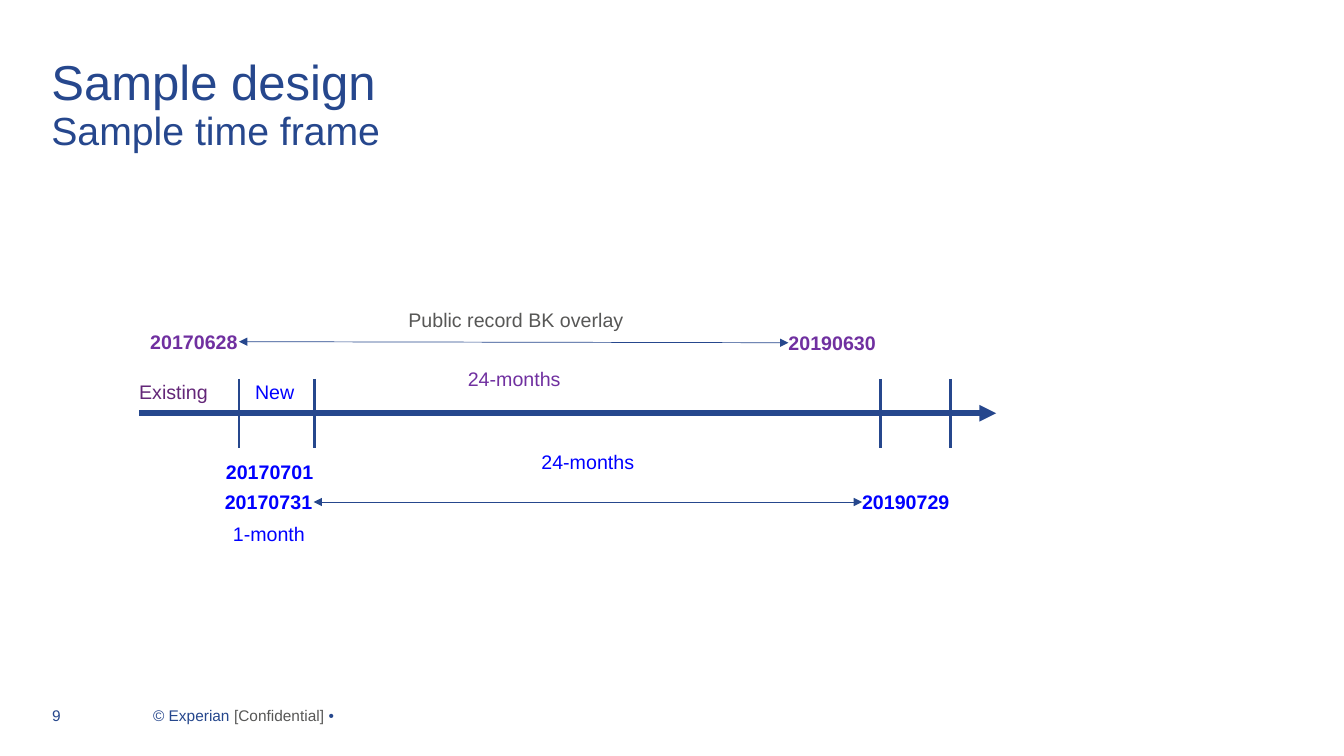
from typing import NamedTuple

from lxml import etree
from pptx import Presentation
from pptx.dml.color import RGBColor
from pptx.enum.shapes import MSO_CONNECTOR
from pptx.enum.text import MSO_AUTO_SIZE
from pptx.oxml.ns import qn
from pptx.util import Inches, Pt

FONT = "Arial"
NAVY, GREY, PLUM = "26478D", "575756", "632678"
PURPLE, BLUE = "7030A0", "0000FF"
AXIS_Y, TICK_HALF = 4.1, 0.34
LABEL_HEIGHT = 0.24


class Label(NamedTuple):
    text: str
    left: float
    top: float
    width: float
    color: str
    bold: bool = False


class Line(NamedTuple):
    x1: float
    y1: float
    x2: float
    y2: float
    weight: float
    ends: tuple[str, ...] = ()


class Part(NamedTuple):
    text: str
    size: float
    color: str


LABELS = [
    Label("20170628", 1.49, 3.27, 0.88, PURPLE, True),
    Label("20190630", 7.82, 3.28, 0.88, PURPLE, True),
    Label("Public record BK overlay", 4.05, 3.06, 2.15, GREY),
    Label("24-months", 4.64, 3.64, 0.96, PURPLE),
    Label("Existing", 1.38, 3.77, 0.69, PLUM),
    Label("New", 2.53, 3.77, 0.39, BLUE),
    Label("24-months", 5.37, 4.46, 0.96, BLUE),
    Label("20170701", 2.24, 4.56, 0.88, BLUE, True),
    Label("20170731", 2.23, 4.86, 0.88, BLUE, True),
    Label("20190729", 8.55, 4.86, 0.88, BLUE, True),
    Label("1-month", 2.31, 5.18, 0.74, BLUE),
]

TICKS = [
    Line(x, AXIS_Y - TICK_HALF, x, AXIS_Y + TICK_HALF, 2)
    for x in (2.37, 3.12, 8.73, 9.43)
]
BOTH_ENDS = ("headEnd", "tailEnd")
LINES = [
    Line(1.38, AXIS_Y, 9.88, AXIS_Y, 4, ("tailEnd",)),
    *TICKS,
    Line(2.37, 3.39, 7.82, 3.4, 0.5, BOTH_ENDS),
    Line(3.11, 4.98, 8.55, 4.98, 0.5, BOTH_ENDS),
]


def rgb(color: str) -> RGBColor:
    return RGBColor.from_string(color)


def style(font, size: float, color: str, bold: bool = False) -> None:
    font.name = FONT
    font.size = Pt(size)
    font.bold = bold
    font.color.rgb = rgb(color)


def add_box(slide, left: float, top: float, width: float, height: float,
            inset_x: float = 0, inset_y: float = 0, wrap: bool = True):
    """Add a text box and return its text frame."""
    frame = slide.shapes.add_textbox(
        Inches(left), Inches(top), Inches(width), Inches(height)).text_frame
    frame.margin_left = frame.margin_right = Inches(inset_x)
    frame.margin_top = frame.margin_bottom = Inches(inset_y)
    frame.word_wrap = wrap
    return frame


def add_parts(paragraph, parts: list[Part]) -> None:
    for part in parts:
        run = paragraph.add_run()
        run.text = part.text
        style(run.font, part.size, part.color)


def draw_title(slide) -> None:
    paragraph = add_box(slide, 0.51, 0.58, 12.31, 1.1).paragraphs[0]
    paragraph.line_spacing = 0.9
    paragraph.text = "Sample design\vSample time frame"
    for run, size in zip(paragraph.runs, (35, 28)):
        style(run.font, size, NAVY)


def draw_footer(slide) -> None:
    paragraph = add_box(slide, 0.42, 6.96, 8.63, 0.29, 0.1, 0.05).paragraphs[0]
    tabs = etree.SubElement(paragraph._p.get_or_add_pPr(), qn("a:tabLst"))
    etree.SubElement(tabs, qn("a:tab"), pos=str(Inches(1)), algn="l")
    add_parts(paragraph, [
        Part("9\t© Experian ", 11, NAVY),
        Part("[Confidential] ", 11, GREY),
        Part("•", 11, NAVY),
    ])


def draw_label(slide, label: Label) -> None:
    frame = add_box(slide, label.left, label.top, label.width, LABEL_HEIGHT,
                    wrap=False)
    frame.auto_size = MSO_AUTO_SIZE.SHAPE_TO_FIT_TEXT
    frame.text = label.text
    style(frame.paragraphs[0].runs[0].font, 14, label.color, label.bold)


def draw_line(slide, line: Line) -> None:
    connector = slide.shapes.add_connector(
        MSO_CONNECTOR.STRAIGHT, Inches(line.x1), Inches(line.y1),
        Inches(line.x2), Inches(line.y2))
    connector.line.color.rgb = rgb(NAVY)
    connector.line.width = Pt(line.weight)
    for end in line.ends:
        etree.SubElement(connector.line._get_or_add_ln(), qn(f"a:{end}"),
                         type="triangle")
    etree.SubElement(connector._element.spPr, qn("a:effectLst"))


def main() -> None:
    deck = Presentation()
    deck.slide_width, deck.slide_height = Inches(13.33), Inches(7.5)
    slide = deck.slides.add_slide(deck.slide_layouts[6])
    draw_footer(slide)
    draw_title(slide)
    for line in LINES:
        draw_line(slide, line)
    for label in LABELS:
        draw_label(slide, label)
    deck.save("out.pptx")


if __name__ == "__main__":
    main()
